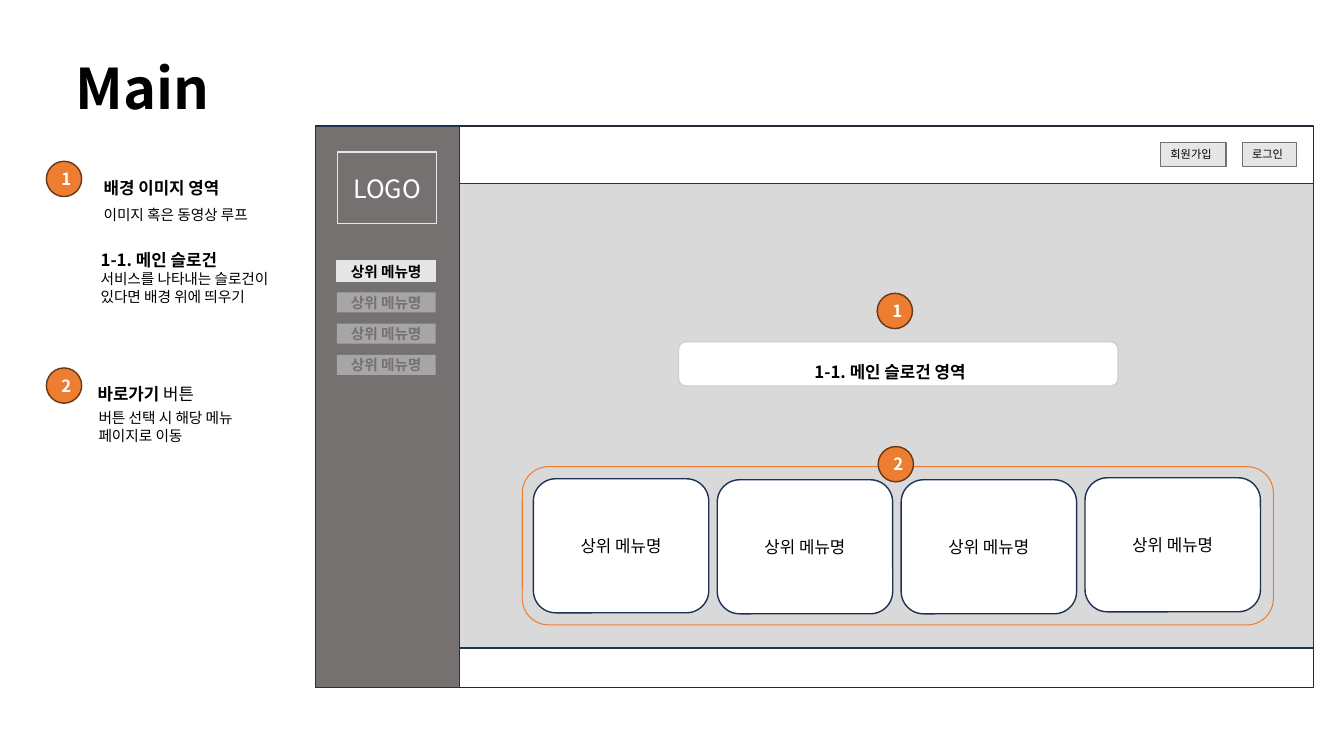
from lxml import etree
from pptx import Presentation
from pptx.dml.color import RGBColor
from pptx.enum.shapes import MSO_SHAPE
from pptx.enum.text import MSO_ANCHOR, MSO_AUTO_SIZE, PP_ALIGN
from pptx.oxml.ns import qn
from pptx.util import Inches, Pt

RECT, ROUND, OVAL = MSO_SHAPE.RECTANGLE, MSO_SHAPE.ROUNDED_RECTANGLE, MSO_SHAPE.OVAL
MIDDLE, TOP = MSO_ANCHOR.MIDDLE, MSO_ANCHOR.TOP
CENTER, LEFT = PP_ALIGN.CENTER, PP_ALIGN.LEFT
GROW = MSO_AUTO_SIZE.SHAPE_TO_FIT_TEXT

FONT = "Noto Sans CJK KR"
BLACK, WHITE, NAVY, ORANGE = "000000", "FFFFFF", "1E3256", "ED7D31"
DARK_GRAY, PALE_GRAY = "767171", "E7E6E6"
MENU = "상위 메뉴명"


def rgb(value):
    """Turn a hex string into a colour."""
    return RGBColor.from_string(value)


def write(shape, paragraphs, size=12, color=BLACK, bold=False, align=CENTER,
          anchor=MIDDLE, spacing=None, wrap=True, grow=False):
    """Fill a shape with paragraphs, each a string or a list of (text, bold) runs."""
    tf = shape.text_frame
    tf.word_wrap = wrap
    tf.vertical_anchor = anchor
    if grow:
        tf.auto_size = GROW
    for i, runs in enumerate(paragraphs):
        p = tf.paragraphs[0] if i == 0 else tf.add_paragraph()
        p.alignment = align
        if spacing:
            p.line_spacing = spacing
        for text, is_bold in [(runs, bold)] if isinstance(runs, str) else runs:
            r = p.add_run()
            r.text = text
            r.font.size, r.font.bold, r.font.name = Pt(size), is_bold, FONT
            r.font.color.rgb = rgb(color)
            ea = etree.SubElement(r.font._element, qn("a:ea"))
            ea.set("typeface", FONT)


def add_box(s, kind, x, y, w, h, fill=None, line=None, width=1):
    """Add a preset shape with an optional fill and outline."""
    sp = s.shapes.add_shape(kind, Inches(x), Inches(y), Inches(w), Inches(h))
    sp.shadow.inherit = False
    if fill:
        sp.fill.solid()
        sp.fill.fore_color.rgb = rgb(fill)
    else:
        sp.fill.background()
    if line:
        sp.line.color.rgb = rgb(line)
        sp.line.width = Pt(width)
    else:
        sp.line.fill.background()
    return sp


def add_text(s, x, y, w, h, *paragraphs, wrap=False, **fmt):
    """Add a left-aligned text box that grows with its text."""
    box = s.shapes.add_textbox(Inches(x), Inches(y), Inches(w), Inches(h))
    write(box, paragraphs, align=LEFT, anchor=TOP, wrap=wrap, grow=True, **fmt)


def add_badge(s, x, y, number):
    """Add a numbered orange circle."""
    sp = add_box(s, OVAL, x, y, 0.35, 0.35, ORANGE, "683715")
    write(sp, [number], color=WHITE, bold=True)


def add_button(s, x, w, text):
    """Add a small button to the top bar."""
    sp = add_box(s, RECT, x, 1.41, w, 0.24, PALE_GRAY, DARK_GRAY, 0.75)
    write(sp, [text], size=8, align=LEFT, anchor=TOP, wrap=False, grow=True)


def add_sidebar(s):
    """Add the sidebar with its logo frame and menu, the first item active."""
    add_box(s, RECT, 3.13, 1.25, 1.43, 5.57, DARK_GRAY, NAVY)
    logo = add_box(s, RECT, 3.35, 1.51, 0.98, 0.71, line=PALE_GRAY)
    write(logo, ["LOGO"], size=18, color=WHITE)
    for i in range(4):
        active = i == 0
        item = add_box(s, RECT, 3.34, 2.59 + 0.31 * i, 0.98, 0.2,
                       PALE_GRAY if active else "A6A6A6", PALE_GRAY if active else None)
        write(item, [MENU], size=10.5, color=BLACK if active else DARK_GRAY, bold=True)


def add_shortcuts(s):
    """Add the row of shortcut cards and the frame around it."""
    for i, y in enumerate([4.75, 4.76, 4.76, 4.74]):
        card = add_box(s, ROUND, 5.29 + 1.824 * i, y, 1.74, 1.33, WHITE, NAVY)
        write(card, [MENU])
    add_box(s, ROUND, 5.18, 4.63, 7.45, 1.57, line=ORANGE, width=0.75)


def add_notes_column(s):
    """Add the numbered explanations on the left."""
    add_badge(s, 0.46, 1.6, "1")
    add_text(s, 0.93, 1.51, 1.5, 0.44, "배경 이미지 영역", bold=True, spacing=2.0)
    add_text(s, 0.93, 1.82, 1.83, 0.4, "이미지 혹은 동영상 루프", size=10.5, spacing=2.0)
    add_text(s, 0.9, 2.23, 1.47, 0.44, "1-1. 메인 슬로건", bold=True, spacing=2.0)
    add_text(s, 0.9, 2.63, 2.17, 0.45,
             "서비스를 나타내는 슬로건이 있다면 배경 위에 띄우기", size=10.5, wrap=True)
    add_badge(s, 0.46, 3.65, "2")
    add_text(s, 0.87, 3.56, 1.27, 0.44, [("바로가기", True), (" 버튼", False)], spacing=2.0)
    add_text(s, 0.88, 4.01, 1.74, 0.45, "버튼 선택 시 해당 메뉴", "페이지로 이동", size=10.5)


def main():
    """Build the wireframe slide and save it."""
    prs = Presentation()
    prs.slide_width, prs.slide_height = Inches(13.33), Inches(7.5)
    s = prs.slides.add_slide(prs.slide_layouts[6])
    add_text(s, 0.65, 0.48, 1.54, 0.77, "Main", size=40, bold=True)
    add_notes_column(s)

    add_box(s, RECT, 3.13, 1.25, 9.9, 5.57, WHITE, "222A35")
    add_box(s, RECT, 4.56, 1.82, 8.47, 4.61, "D9D9D9", NAVY)
    add_sidebar(s)
    add_button(s, 11.51, 0.65, "회원가입")
    add_button(s, 12.32, 0.54, "로그인")
    add_shortcuts(s)
    add_badge(s, 8.7, 2.91, "1")
    add_badge(s, 8.71, 4.43, "2")
    add_box(s, ROUND, 6.73, 3.39, 4.36, 0.44, WHITE, "D0CECE")
    add_text(s, 7.98, 3.34, 1.87, 0.44, "1-1. 메인 슬로건 영역", bold=True, spacing=2.0)
    prs.save("out.pptx")


main()
